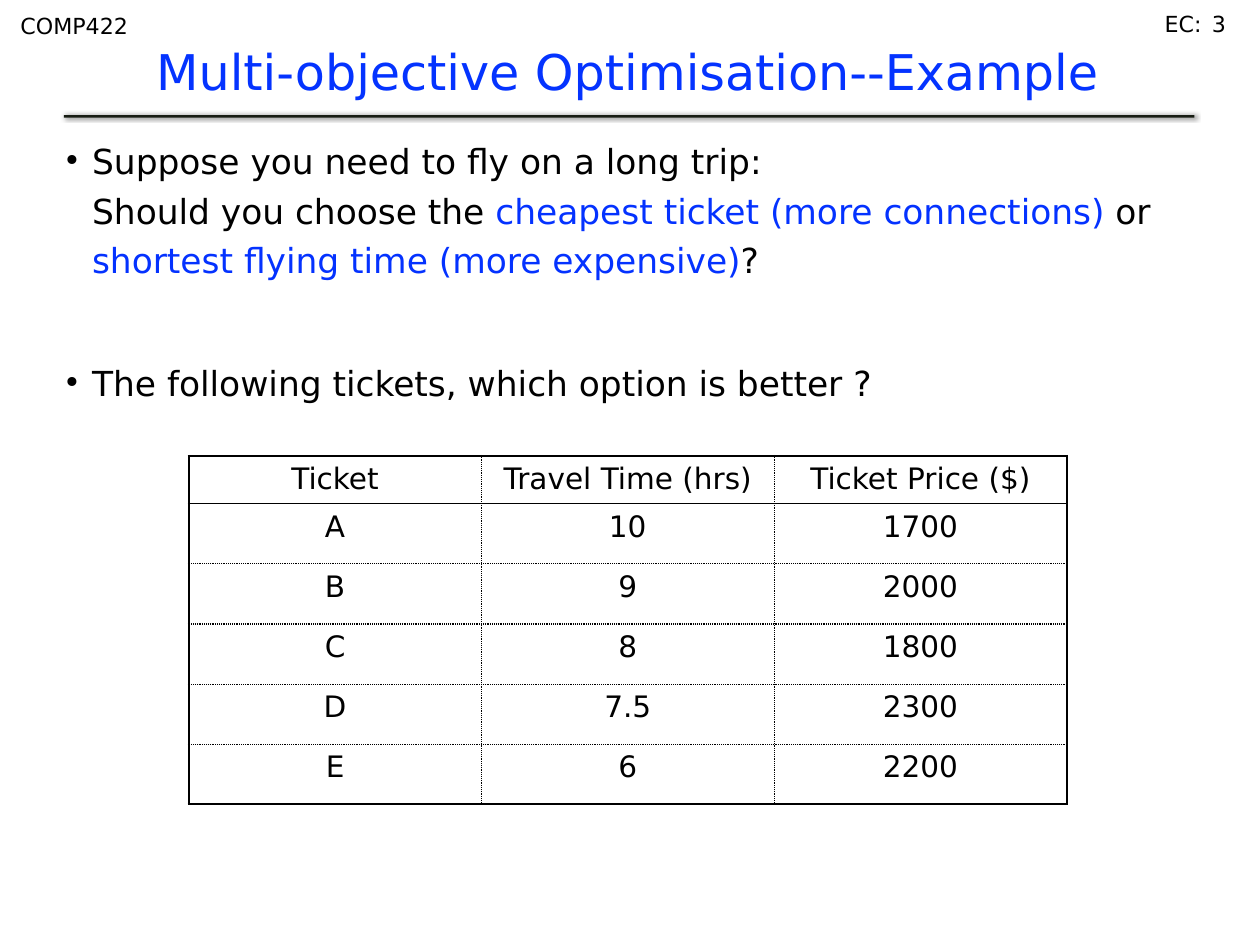
from lxml.etree import SubElement
from pptx import Presentation
from pptx.dml.color import RGBColor
from pptx.enum.shapes import MSO_SHAPE
from pptx.enum.text import MSO_ANCHOR, PP_ALIGN
from pptx.oxml.ns import qn
from pptx.util import Inches, Pt

FONT = "DejaVu Sans"
BLACK, WHITE, RULE, TITLE_BLUE, TEXT_BLUE = "000000", "FFFFFF", "171C13", "0433FF", "0432FF"
TICKETS = [
    ("Ticket", "Travel Time (hrs)", "Ticket Price ($)"),
    ("A", "10", "1700"),
    ("B", "9", "2000"),
    ("C", "8", "1800"),
    ("D", "7.5", "2300"),
    ("E", "6", "2200"),
]
BULLETS = [
    (10, [("Suppose you need to fly on a long trip:", BLACK),
          None,
          ("Should you choose the ", BLACK),
          ("cheapest ticket (more connections)", TEXT_BLUE),
          (" or ", BLACK),
          ("shortest flying time (more expensive)", TEXT_BLUE),
          ("?", BLACK)]),
    (59, [("The following tickets, which option is better ?", BLACK)]),
]


def color(value):
    return RGBColor.from_string(value)


def format_run(run, size, value):
    run.font.name = FONT
    run.font.size = Pt(size)
    run.font.color.rgb = color(value)


def add_text_frame(slide, box, inset=0):
    text_frame = slide.shapes.add_textbox(*map(Inches, box)).text_frame
    text_frame.word_wrap = True
    text_frame.margin_left = text_frame.margin_right = Inches(inset)
    text_frame.margin_top = text_frame.margin_bottom = Inches(inset)
    return text_frame


def add_label(slide, box, text, size, value, alignment, inset=0):
    """Place one line of text and return its frame."""
    text_frame = add_text_frame(slide, box, inset)
    text_frame.text = text
    paragraph = text_frame.paragraphs[0]
    paragraph.alignment = alignment
    format_run(paragraph.runs[0], size, value)
    return text_frame


def add_header(slide, box):
    """Place the course name, and the page label at the right edge."""
    left, top, width, height = box
    page_width, prefix_width = 0.69, 1.28
    page_left = left + width - page_width
    add_label(slide, (left, top, 3.62, height), "COMP422", 18, BLACK, PP_ALIGN.LEFT, 0.07)
    add_label(slide, (page_left - prefix_width + 0.2, top, prefix_width, height),
              "EC:", 18, BLACK, PP_ALIGN.RIGHT, 0.05)
    add_label(slide, (page_left, top, page_width, height), "3", 18, BLACK, PP_ALIGN.CENTER, 0.05)


def add_title(slide, box):
    """Place the centred title with a shadowed rule under it."""
    left, top, width, height = box
    text_frame = add_label(slide, box, "Multi-objective Optimisation--Example",
                           40, TITLE_BLUE, PP_ALIGN.CENTER)
    text_frame.vertical_anchor = MSO_ANCHOR.MIDDLE
    rule_box = (left - 0.15, top + height - 0.03, width + 0.34, 0.03)
    rule = slide.shapes.add_shape(MSO_SHAPE.RECTANGLE, *map(Inches, rule_box))
    rule.fill.solid()
    rule.fill.fore_color.rgb = color(RULE)
    rule.line.fill.background()
    rule.shadow.inherit = False
    effects = rule._element.spPr.find(qn("a:effectLst"))
    shadow = SubElement(effects, qn("a:outerShdw"), blurRad=str(Pt(4)), dist=str(Pt(1)), dir="0")
    shadow_color = SubElement(shadow, qn("a:srgbClr"), val=BLACK)
    SubElement(shadow_color, qn("a:alpha"), val="50000")


def set_bullet(paragraph):
    properties = paragraph._p.get_or_add_pPr()
    properties.set("marL", str(Inches(0.33)))
    properties.set("indent", str(Inches(-0.33)))
    SubElement(properties, qn("a:buSzPct"), val="90000")
    SubElement(properties, qn("a:buFont"), typeface=FONT)
    SubElement(properties, qn("a:buChar"), char="•")


def add_bullets(slide, box):
    text_frame = add_text_frame(slide, box)
    for index, (space_before, pieces) in enumerate(BULLETS):
        paragraph = text_frame.add_paragraph() if index else text_frame.paragraphs[0]
        paragraph.line_spacing = 1.2
        paragraph.space_before = Pt(space_before)
        set_bullet(paragraph)
        for piece in pieces:
            if piece is None:
                paragraph.add_line_break()
                continue
            text, value = piece
            run = paragraph.add_run()
            run.text = text
            format_run(run, 28, value)


def set_border(cell, side, width, dash):
    line = SubElement(cell._tc.get_or_add_tcPr(), qn(f"a:ln{side}"), w=str(Pt(width)))
    fill = SubElement(line, qn("a:solidFill"))
    SubElement(fill, qn("a:srgbClr"), val=BLACK)
    SubElement(line, qn("a:prstDash"), val=dash)


def set_borders(cell, row, column, last_row, last_column):
    """Thick outer frame, thin line under the header, dotted lines elsewhere."""
    outer, header, inner = (2.25, "solid"), (1, "solid"), (1, "sysDot")
    set_border(cell, "L", *(outer if column == 0 else inner))
    set_border(cell, "R", *(outer if column == last_column else inner))
    set_border(cell, "T", *{0: outer, 1: header}.get(row, inner))
    set_border(cell, "B", *{0: header, last_row: outer}.get(row, inner))


def add_ticket_table(slide, box):
    row_count, column_count = len(TICKETS), len(TICKETS[0])
    table = slide.shapes.add_table(row_count, column_count, *map(Inches, box)).table
    table.first_row = table.horz_banding = False
    header_height = 0.54
    body_height = (box[3] - header_height) / (row_count - 1)
    for index, row in enumerate(table.rows):
        row.height = Inches(body_height if index else header_height)
    for row, values in enumerate(TICKETS):
        for column, text in enumerate(values):
            cell = table.cell(row, column)
            cell.margin_left = cell.margin_right = Inches(0.14)
            cell.margin_top = cell.margin_bottom = Inches(0.07)
            set_borders(cell, row, column, row_count - 1, column_count - 1)
            cell.fill.solid()
            cell.fill.fore_color.rgb = color(WHITE)
            cell.text = text
            paragraph = cell.text_frame.paragraphs[0]
            paragraph.alignment = PP_ALIGN.CENTER
            format_run(paragraph.runs[0], 24, BLACK)


def main():
    presentation = Presentation()
    presentation.slide_width = Inches(14.22)
    presentation.slide_height = Inches(10.67)
    slide = presentation.slides.add_slide(presentation.slide_layouts[6])
    add_header(slide, (0.16, 0.07, 13.94, 0.41))
    add_title(slide, (0.87, 0.27, 12.42, 1.06))
    add_bullets(slide, (0.71, 1.49, 12.8, 3.71))
    add_ticket_table(slide, (2.13, 5.15, 9.91, 3.93))
    presentation.save("out.pptx")


if __name__ == "__main__":
    main()
